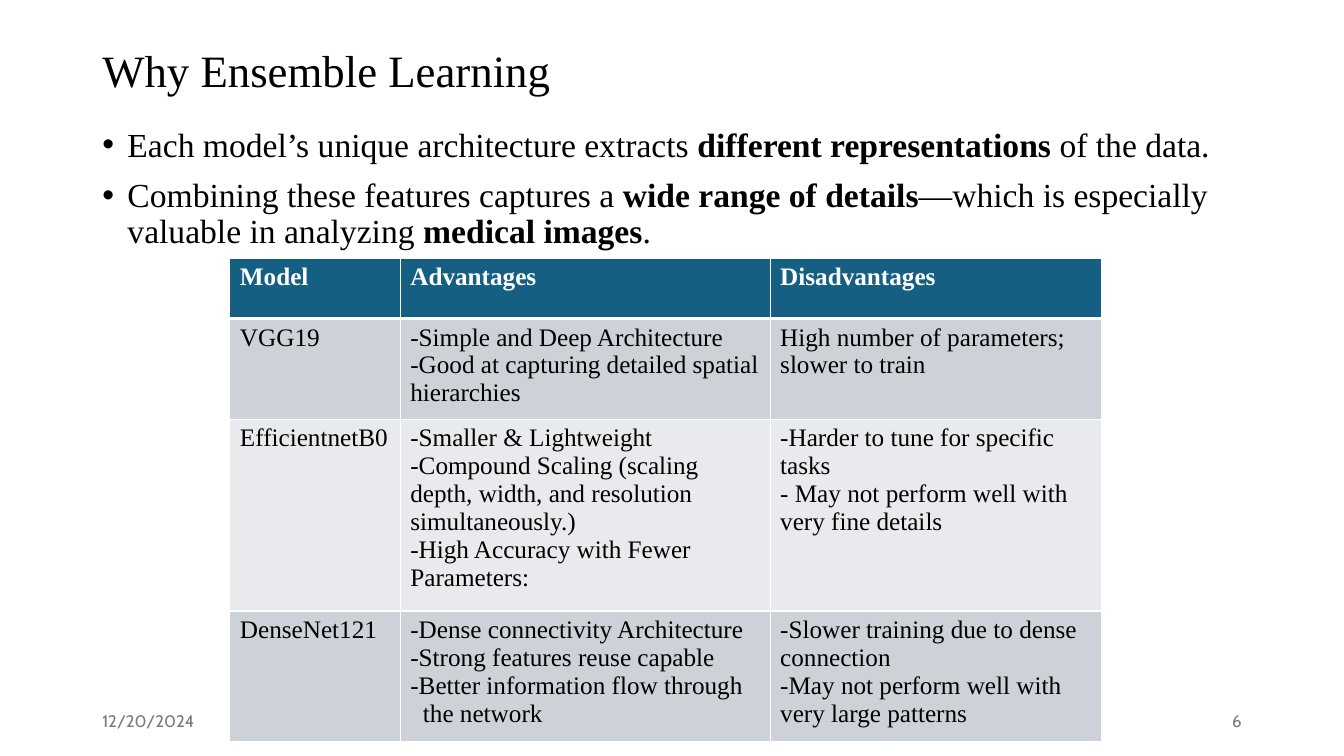
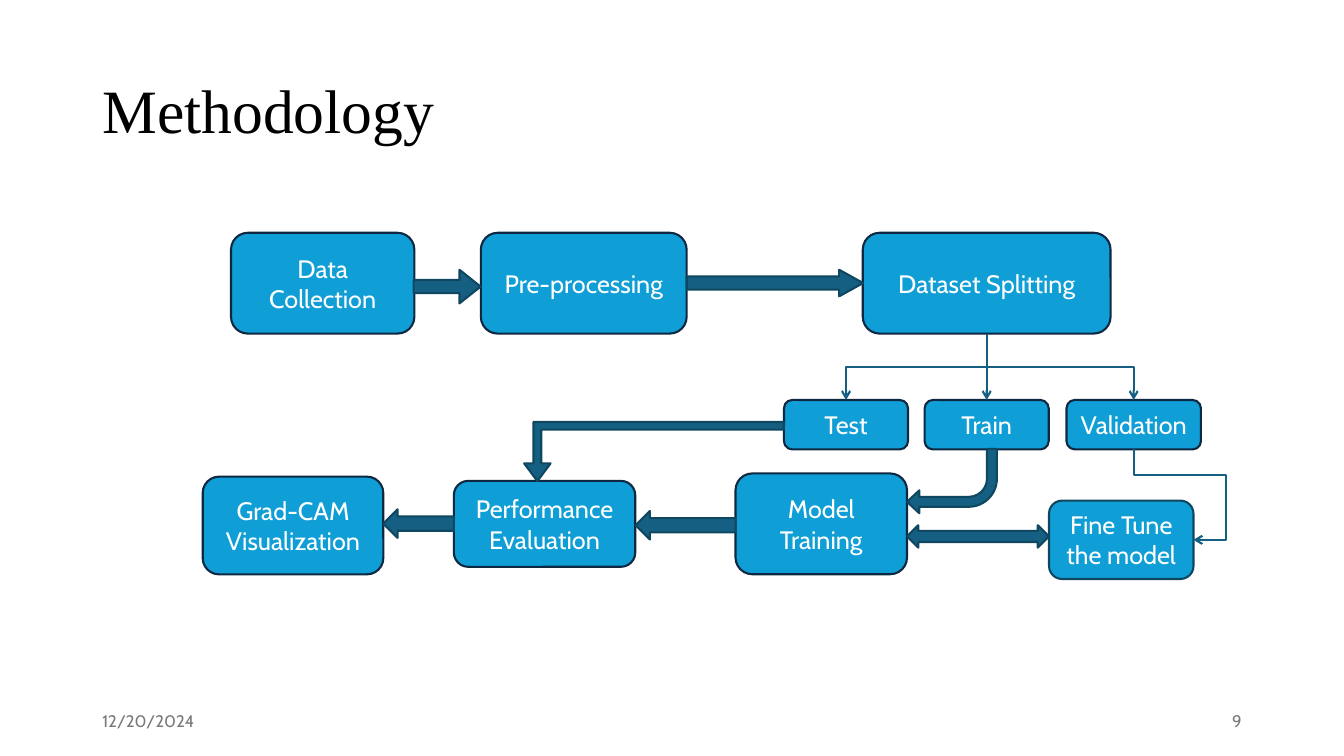
from lxml import etree
from pptx import Presentation
from pptx.dml.color import RGBColor
from pptx.enum.shapes import MSO_CONNECTOR, MSO_SHAPE
from pptx.enum.text import MSO_ANCHOR, PP_ALIGN
from pptx.oxml.ns import qn
from pptx.util import Pt

BLACK = RGBColor(0x00, 0x00, 0x00)
WHITE = RGBColor(0xFF, 0xFF, 0xFF)
GRAY = RGBColor(0x79, 0x79, 0x79)
NAVY = RGBColor(0x0E, 0x28, 0x41)
BLUE = RGBColor(0x0F, 0x9E, 0xD5)
TEAL = RGBColor(0x15, 0x60, 0x82)
TEAL_EDGE = RGBColor(0x10, 0x47, 0x60)
ROW_DARK = RGBColor(0xCC, 0xD2, 0xD8)
ROW_LIGHT = RGBColor(0xE8, 0xEA, 0xED)
SERIF, SANS = "Times New Roman", "Cabin"
MIDDLE, TOP = MSO_ANCHOR.MIDDLE, MSO_ANCHOR.TOP
LEFT, CENTER, RIGHT = PP_ALIGN.LEFT, PP_ALIGN.CENTER, PP_ALIGN.RIGHT
ROUND_RECT = MSO_SHAPE.ROUNDED_RECTANGLE
RIGHT_ARROW, LEFT_ARROW = MSO_SHAPE.RIGHT_ARROW, MSO_SHAPE.LEFT_ARROW
BENT_ARROW, BENT_UP_ARROW = MSO_SHAPE.BENT_ARROW, MSO_SHAPE.BENT_UP_ARROW
LEFT_RIGHT_ARROW = MSO_SHAPE.LEFT_RIGHT_ARROW
STRAIGHT, ELBOW = MSO_CONNECTOR.STRAIGHT, MSO_CONNECTOR.ELBOW
MARGIN, CONTENT_W = 66, 828


def write(tf, lines, size, font, color, align=LEFT, anchor=MIDDLE, spacing=None):
    """Fill a text frame; each line is a list of texts, every second one bold."""
    tf.word_wrap = True
    tf.vertical_anchor = anchor
    for i, line in enumerate(lines):
        p = tf.paragraphs[0] if i == 0 else tf.add_paragraph()
        p.alignment = align
        p.line_spacing = spacing
        p.font.size, p.font.name = Pt(size), font
        p.font.color.rgb = color
        for j, text in enumerate(line):
            r = p.add_run()
            r.text = text
            if j % 2:
                r.font.bold = True


def style_connector(sp):
    """Give a connector its line and an open arrowhead, without shadow."""
    sp.line.color.rgb = TEAL
    sp.line.width = Pt(1.5)
    ln = sp.line._get_or_add_ln()
    etree.SubElement(ln, qn("a:tailEnd"), type="arrow")
    etree.SubElement(sp._element.spPr, qn("a:effectLst"))


prs = Presentation()
prs.slide_width, prs.slide_height = Pt(960), Pt(540)

# Shared frame: title, date and slide number
slides = []
for title, size, height, number in [("Why Ensemble Learning", 32, 47, "6"),
                                    ("Methodology", 44, 104.4, "9")]:
    slide = prs.slides.add_slide(prs.slide_layouts[6])
    slides.append(slide)
    for text, x, y, w, h, pts, font, color, align, spacing in [
            (title, MARGIN, 28.8, CONTENT_W, height, size, SERIF, BLACK, LEFT, 0.9),
            ("12/20/2024", MARGIN, 500.5, 216, 28.8, 12, SANS, GRAY, LEFT, None),
            (number, 678, 500.5, 216, 28.8, 12, SANS, GRAY, RIGHT, None)]:
        sp = slide.shapes.add_textbox(Pt(x), Pt(y), Pt(w), Pt(h))
        write(sp.text_frame, [[text]], pts, font, color, align, spacing=spacing)
ensemble, methodology = slides

# Ensemble learning: bullets
sp = ensemble.shapes.add_textbox(Pt(MARGIN), Pt(88), Pt(CONTENT_W), Pt(98))
write(sp.text_frame, [
    ["Each model’s unique architecture extracts ", "different representations",
     " of the data."],
    ["Combining these features captures a ", "wide range of details",
     "—which is especially valuable in analyzing ", "medical images", "."],
], 24, SERIF, BLACK, anchor=TOP, spacing=0.9)
for p in sp.text_frame.paragraphs:
    p.space_before = Pt(10)
    pPr = p._p.get_or_add_pPr()
    pPr.set("marL", str(Pt(18)))
    pPr.set("indent", str(-Pt(18)))
    bullet_font = etree.Element(qn("a:buFont"), typeface="Arial")
    bullet = etree.Element(qn("a:buChar"), char="•")
    pPr.find(qn("a:defRPr")).addprevious(bullet_font)
    bullet_font.addnext(bullet)

# Ensemble learning: comparison table
rows = [
    [["Model"], ["Advantages"], ["Disadvantages"]],
    [["VGG19"],
     ["-Simple and Deep Architecture",
      "-Good at capturing detailed spatial hierarchies"],
     ["High number of parameters; slower to train"]],
    [["EfficientnetB0"],
     ["-Smaller & Lightweight",
      "-Compound Scaling (scaling depth, width, and resolution simultaneously.)",
      "-High Accuracy with Fewer Parameters:"],
     ["-Harder to tune for specific tasks",
      "- May not perform well with very fine details"]],
    [["DenseNet121"],
     ["-Dense connectivity Architecture",
      "-Strong features reuse capable",
      "-Better information flow through the network"],
     ["-Slower training due to dense connection",
      "-May not perform well with very large patterns"]],
]
col_widths = [121.7, 264.2, 236.9]
row_heights = [43.2, 69.8, 129.6, 86.4]
table = ensemble.shapes.add_table(
    len(rows), len(col_widths), Pt(164.2), Pt(184.3),
    Pt(sum(col_widths)), Pt(sum(row_heights))).table
for column, width in zip(table.columns, col_widths):
    column.width = Pt(width)
for i, (row, height) in enumerate(zip(rows, row_heights)):
    table.rows[i].height = Pt(height)
    for j, lines in enumerate(row):
        cell = table.cell(i, j)
        write(cell.text_frame, [[line] for line in lines], 18, SERIF,
              BLACK if i else WHITE, anchor=TOP)
        for p in cell.text_frame.paragraphs:
            for r in p.runs:
                r.font.bold = i == 0
        tcPr = cell._tc.get_or_add_tcPr()
        for side in "LRTB":
            thick = (i, side) in [(0, "B"), (1, "T")]
            ln = etree.SubElement(tcPr, qn("a:ln" + side), w=str(Pt(3 if thick else 1)))
            fill = etree.SubElement(ln, qn("a:solidFill"))
            etree.SubElement(fill, qn("a:srgbClr"), val=str(WHITE))
        cell.fill.solid()
        cell.fill.fore_color.rgb = TEAL if i == 0 else ROW_DARK if i % 2 else ROW_LIGHT

# The wrapped part of the last advantage hangs under its text
pPr = table.cell(3, 1).text_frame.paragraphs[-1]._p.get_or_add_pPr()
pPr.set("marL", str(Pt(9)))
pPr.set("indent", str(-Pt(9)))

# Methodology: process steps
steps = {}
for lines, x, y, w, h, edge in [
        (["Data Collection"], 165, 166.3, 131, 72, NAVY),
        (["Pre-processing"], 343.5, 166.3, 147, 72, NAVY),
        (["Dataset Splitting"], 616.3, 166.3, 177, 72, NAVY),
        (["Test"], 560, 285.7, 88.6, 35.3, NAVY),
        (["Train"], 660.5, 285.7, 88.6, 35.3, NAVY),
        (["Validation"], 761.8, 285.7, 96, 35.3, NAVY),
        (["Model Training"], 525.4, 338.2, 122.5, 72, NAVY),
        (["Performance Evaluation"], 324.2, 343.5, 129.6, 61.4, NAVY),
        (["Grad-CAM", "Visualization"], 144.8, 340.5, 129, 69.8, NAVY),
        (["Fine Tune the model"], 749.3, 357.6, 103.2, 56, TEAL_EDGE)]:
    sp = methodology.shapes.add_shape(ROUND_RECT, Pt(x), Pt(y), Pt(w), Pt(h))
    sp.shadow.inherit = False
    sp.fill.solid()
    sp.fill.fore_color.rgb = BLUE
    sp.line.color.rgb = edge
    sp.line.width = Pt(1.5)
    write(sp.text_frame, [[line] for line in lines], 18, SANS, WHITE, CENTER)
    steps[lines[0]] = sp

# Methodology: block arrows
for kind, x, y, w, h, rotation, adjustments in [
        (RIGHT_ARROW, 295.5, 192.7, 47.8, 24, 0, [0.39, 0.627]),
        (RIGHT_ARROW, 490.5, 192.7, 126, 19, 0, [0.5, 0.901]),
        (BENT_ARROW, 647.9, 320.6, 64.2, 46, 180, [0.154, 0.178, 0.19, 0.438]),
        (BENT_UP_ARROW, 374.4, 301.4, 185.4, 42.3, 180, [0.13, 0.223, 0.301]),
        (LEFT_ARROW, 454, 365, 71.4, 20.4, 0, []),
        (LEFT_ARROW, 273.8, 363.8, 50.4, 20.4, 0, []),
        (LEFT_RIGHT_ARROW, 647.9, 375.2, 101.4, 16, 0, [])]:
    sp = methodology.shapes.add_shape(kind, Pt(x), Pt(y), Pt(w), Pt(h))
    sp.shadow.inherit = False
    sp.rotation = rotation
    for i, value in enumerate(adjustments):
        sp.adjustments[i] = value
    sp.fill.solid()
    sp.fill.fore_color.rgb = TEAL
    sp.line.color.rgb = TEAL_EDGE
    sp.line.width = Pt(1.5)

# Methodology: straight connector from the split to training
sp = methodology.shapes.add_connector(STRAIGHT, 0, 0, 0, 0)
sp.begin_connect(steps["Dataset Splitting"], 2)
sp.end_connect(steps["Train"], 0)
style_connector(sp)

# Methodology: elbows that leave a step downwards, as turned connectors
for start, end, to_side, preset, bends in [
        ("Dataset Splitting", "Test", False, "bentConnector3", [50000]),
        ("Dataset Splitting", "Validation", False, "bentConnector3", [50000]),
        ("Validation", "Fine Tune the model", True, "bentConnector4", [28400, 154900])]:
    a, b = steps[start], steps[end]
    x1, y1 = a.left + a.width // 2, a.top + a.height
    x2 = b.left + (b.width if to_side else b.width // 2)
    y2 = b.top + (b.height // 2 if to_side else 0)
    w, h = y2 - y1, abs(x2 - x1)
    left, top = (x1 + x2 - w) // 2, (y1 + y2 - h) // 2
    sp = methodology.shapes.add_connector(ELBOW, left, top, left + w, top + h)
    xfrm = sp._element.spPr.find(qn("a:xfrm"))
    if x2 < x1:
        xfrm.set("rot", str(90 * 60000))
    else:
        xfrm.set("rot", str(270 * 60000))
        xfrm.set("flipH", "1")
    geom = sp._element.spPr.find(qn("a:prstGeom"))
    geom.set("prst", preset)
    av = geom.find(qn("a:avLst"))
    for i, value in enumerate(bends, 1):
        etree.SubElement(av, qn("a:gd"), name=f"adj{i}", fmla=f"val {value}")
    style_connector(sp)

prs.save("out.pptx")
